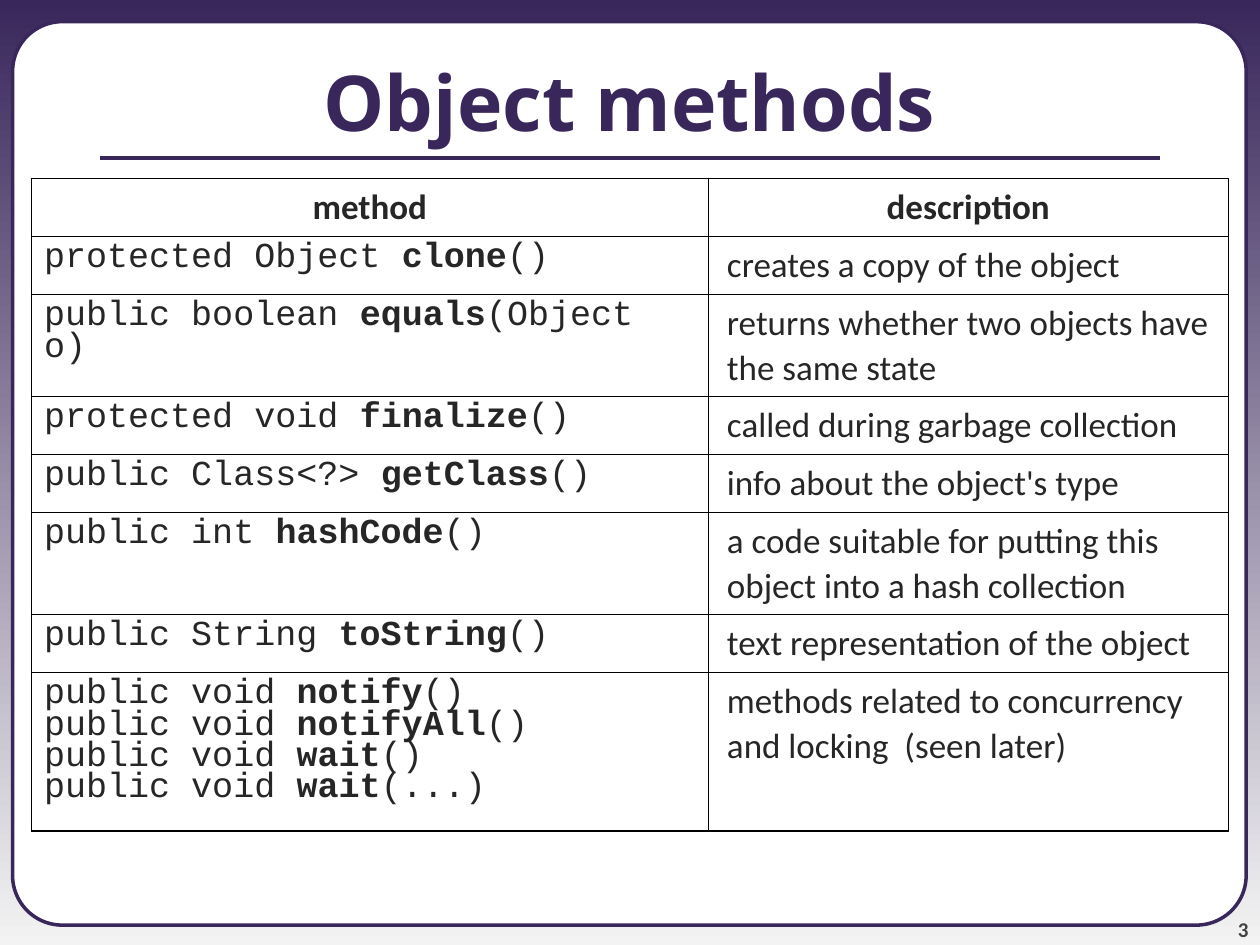
"""Build the slide that lists the methods of the Object class in a table."""
from dataclasses import dataclass
from typing import Any, NamedTuple

from lxml.etree import SubElement
from pptx import Presentation
from pptx.dml.color import RGBColor as Rgb
from pptx.enum.shapes import MSO_CONNECTOR as Connector, MSO_SHAPE as Preset
from pptx.enum.text import MSO_ANCHOR as Anchor, PP_ALIGN as Align
from pptx.oxml.ns import qn
from pptx.util import Emu, Inches, Pt


@dataclass(frozen=True)
class Theme:
    """Colours, fonts and sizes in points."""
    accent: str = "39275B"
    fade: str = "F3F3F3"
    paper: str = "FFFFFF"
    ink: str = "262626"
    number_ink: str = "424242"
    rule_ink: str = "000000"
    title_font: str = "Open Sans"
    body_font: str = "Calibri"
    code_font: str = "Courier New"
    title_size: float = 44
    body_size: float = 20
    number_size: float = 12
    frame_line: float = 2
    title_line: float = 2.25
    outer_line: float = 1.08
    inner_line: float = 0.45


class Box(NamedTuple):
    """Left, top, width and height as shares of the slide."""
    left: float
    top: float
    width: float
    height: float


class Signature(NamedTuple):
    """One method declaration, split around its name."""
    prefix: str
    name: str
    arguments: str = "()"


class Entry(NamedTuple):
    """One table row, with its height in inches."""
    signatures: list[Signature]
    description: str
    height: float


THEME = Theme()
WIDTH, HEIGHT = Inches(10), Inches(7.5)
FRAME = Box(0.01, 0.023, 0.979, 0.956)
TITLE = Box(0, 0.023, 1, 0.167)
NUMBER = Box(0.908, 0.944, 0.083, 0.053)
TABLE = Box(0.025, 0.189, 0.95, 0.688)
UNDERLINE = Box(0.079, 0.167, 0.842, 0)
COLUMNS = (0.537, 0.413)
SINGLE, DOUBLE, QUADRUPLE = 0.46, 0.81, 1.26
HEADINGS = ("method", "description")
ENTRIES = [
    Entry([Signature("protected Object ", "clone")], "creates a copy of the object", SINGLE),
    Entry([Signature("public boolean ", "equals", "(Object o)")],
          "returns whether two objects have the same state", DOUBLE),
    Entry([Signature("protected void ", "finalize")], "called during garbage collection", SINGLE),
    Entry([Signature("public Class<?> ", "getClass")], "info about the object's type", SINGLE),
    Entry([Signature("public int ", "hashCode")],
          "a code suitable for putting this object into a hash collection", DOUBLE),
    Entry([Signature("public String ", "toString")], "text representation of the object", SINGLE),
    Entry([Signature("public void ", "notify"), Signature("public void ", "notifyAll"),
           Signature("public void ", "wait"), Signature("public void ", "wait", "(...)")],
          "methods related to concurrency and locking  (seen later)", QUADRUPLE),
]


def apply(target: Any, values: dict[str, Any]) -> None:
    """Set each attribute named in values."""
    for attribute, value in values.items():
        setattr(target, attribute, value)


def place(box: Box) -> tuple[Emu, Emu, Emu, Emu]:
    """Turn shares of the slide into lengths."""
    sides = (WIDTH, HEIGHT, WIDTH, HEIGHT)
    return tuple(Emu(round(share * side)) for share, side in zip(box, sides))


def write(paragraph: Any, text: str, font: str = THEME.body_font, size: float = THEME.body_size,
          ink: str = THEME.ink, bold: bool = False) -> None:
    """Add a run of formatted text."""
    run = paragraph.add_run()
    run.text = text
    apply(run.font, {"name": font, "size": Pt(size), "bold": bold})
    run.font.color.rgb = Rgb.from_string(ink)


def stroke(line: Any, width: float) -> None:
    """Give a line the accent colour and a width."""
    line.color.rgb = Rgb.from_string(THEME.accent)
    line.width = Pt(width)


def draw_backdrop(slide: Any) -> None:
    """Draw the gradient, the rounded frame and the rule below the title."""
    backdrop = slide.background.fill
    backdrop.gradient()
    backdrop.gradient_angle = 270
    for stop, colour in zip(backdrop.gradient_stops, (THEME.accent, THEME.fade)):
        stop.color.rgb = Rgb.from_string(colour)
    frame = slide.shapes.add_shape(Preset.ROUNDED_RECTANGLE, *place(FRAME))
    frame.adjustments[0] = 0.055
    frame.shadow.inherit = False
    frame.fill.solid()
    frame.fill.fore_color.rgb = Rgb.from_string(THEME.paper)
    stroke(frame.line, THEME.frame_line)
    left, top, width, _ = place(UNDERLINE)
    underline = slide.shapes.add_connector(Connector.STRAIGHT, left, top, left + width, top)
    stroke(underline.line, THEME.title_line)
    SubElement(underline._element.spPr, qn("a:effectLst"))


def draw_title(slide: Any) -> None:
    """Fill the title placeholder and bring it in front of the frame."""
    title = slide.shapes.title
    apply(title, dict(zip(("left", "top", "width", "height"), place(TITLE))))
    apply(title.text_frame, {"vertical_anchor": Anchor.MIDDLE, "word_wrap": True})
    heading = title.text_frame.paragraphs[0]
    heading.alignment = Align.CENTER
    write(heading, "Object methods", THEME.title_font, THEME.title_size, THEME.accent, True)
    slide.shapes._spTree.append(title._element)


def draw_number(slide: Any) -> None:
    """Write the slide number in the lower right corner."""
    corner = slide.shapes.add_textbox(*place(NUMBER)).text_frame
    apply(corner, {"margin_left": 0, "margin_top": 0, "margin_right": 0, "margin_bottom": 0,
                   "word_wrap": True, "vertical_anchor": Anchor.BOTTOM})
    number = corner.paragraphs[0]
    apply(number, {"alignment": Align.RIGHT, "space_before": Pt(5)})
    write(number, "3", size=THEME.number_size, ink=THEME.number_ink, bold=True)


def draw_borders(cell: Any, outer: dict[str, bool]) -> None:
    """Rule the four sides of a cell, heavier on the table's outline."""
    cell.fill.background()
    properties = cell._tc.get_or_add_tcPr()
    for position, (side, is_outer) in enumerate(outer.items()):
        width = Pt(THEME.outer_line if is_outer else THEME.inner_line)
        border = properties.makeelement(qn(f"a:{side}"), {"w": str(width)})
        properties.insert(position, border)
        SubElement(SubElement(border, qn("a:solidFill")), qn("a:srgbClr"), val=THEME.rule_ink)


def start_cell(cell: Any, spacing: float, alignment: Any = Align.LEFT) -> Any:
    """Return the formatted first paragraph of a cell."""
    paragraph = cell.text_frame.paragraphs[0]
    apply(paragraph, {"line_spacing": spacing, "space_before": Pt(5), "alignment": alignment})
    return paragraph


def fill_entry(method_cell: Any, description_cell: Any, entry: Entry) -> None:
    """Write the signatures and the description of one row."""
    code = start_cell(method_cell, 0.79)
    for position, signature in enumerate(entry.signatures):
        if position:
            code.add_line_break()
        for part in signature._fields:
            write(code, getattr(signature, part), THEME.code_font, bold=part == "name")
    description = start_cell(description_cell, 1.04)
    description._p.get_or_add_pPr().set("marL", str(Inches(0.05)))
    write(description, entry.description)


def draw_table(slide: Any) -> None:
    """Draw the table of methods."""
    last_row, last_column = len(ENTRIES), len(COLUMNS) - 1
    table = slide.shapes.add_table(last_row + 1, len(COLUMNS), *place(TABLE)).table
    apply(table, {"first_row": False, "horz_banding": False})
    for column, share in zip(table.columns, COLUMNS):
        column.width = Emu(round(share * WIDTH))
    for row, height in zip(table.rows, [SINGLE, *(entry.height for entry in ENTRIES)]):
        row.height = Inches(height)
    for column, heading in enumerate(HEADINGS):
        write(start_cell(table.cell(0, column), 1.04, Align.CENTER), heading, bold=True)
        for row in range(last_row + 1):
            draw_borders(table.cell(row, column), {
                "lnL": column == 0, "lnR": column == last_column,
                "lnT": row == 0, "lnB": row == last_row})
    for row, entry in enumerate(ENTRIES, start=1):
        fill_entry(table.cell(row, 0), table.cell(row, 1), entry)


def main() -> None:
    """Build and save the presentation."""
    deck = Presentation()
    apply(deck, {"slide_width": WIDTH, "slide_height": HEIGHT})
    slide = deck.slides.add_slide(deck.slide_layouts[5])
    for draw in (draw_backdrop, draw_number, draw_title, draw_table):
        draw(slide)
    deck.save("out.pptx")


if __name__ == "__main__":
    main()
